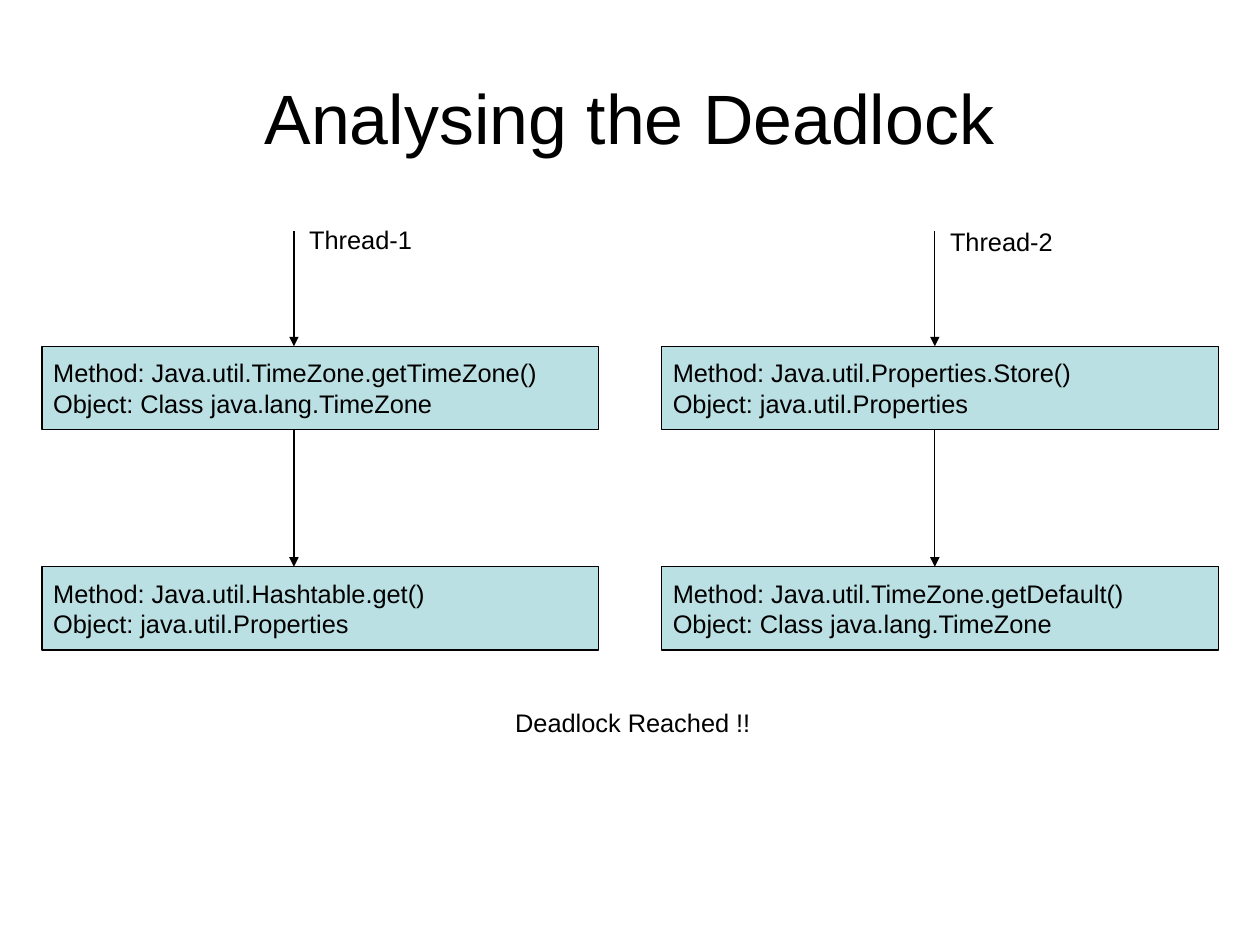
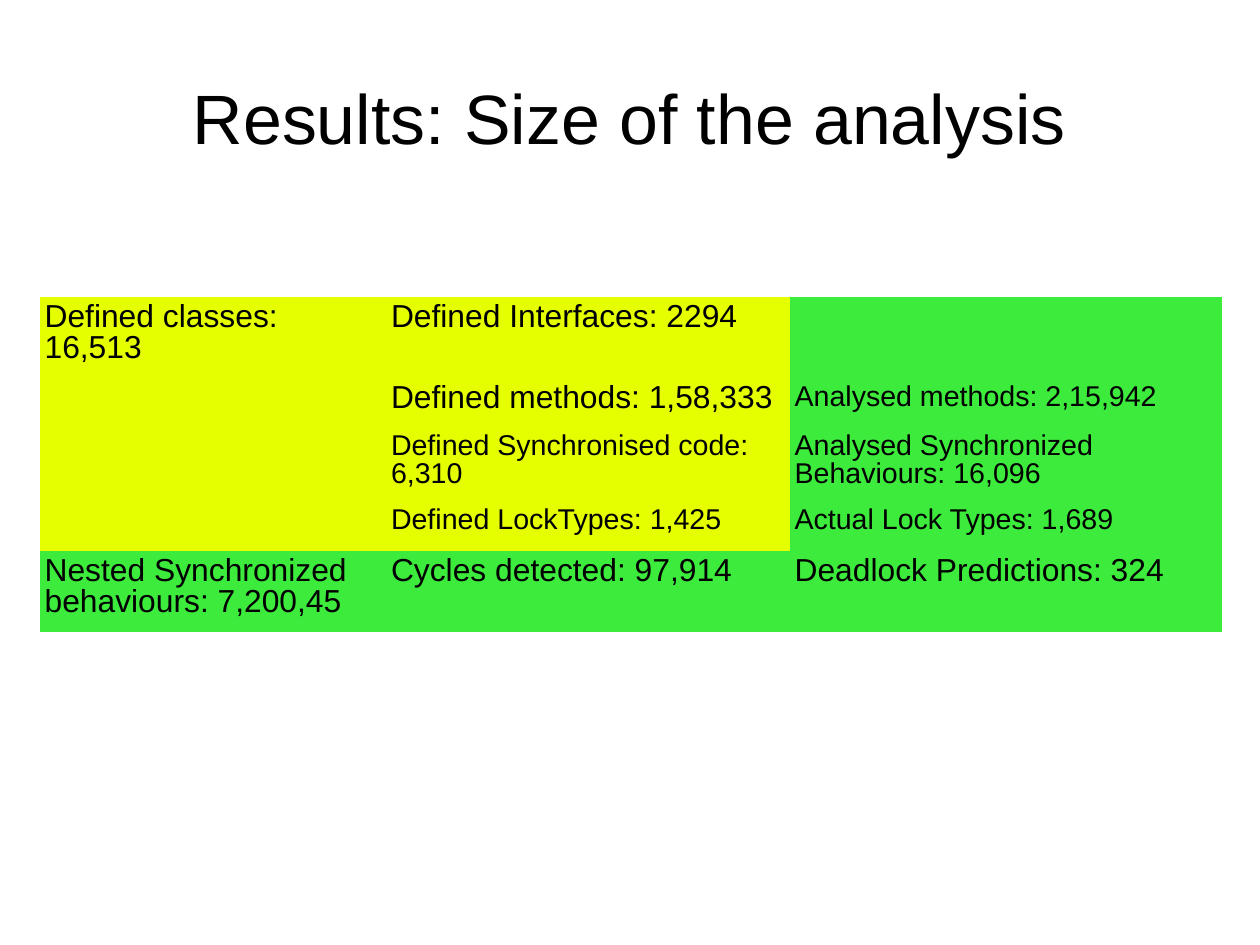
from dataclasses import dataclass

from lxml.etree import SubElement
from pptx import Presentation
from pptx.dml.color import RGBColor
from pptx.enum.shapes import MSO_CONNECTOR as Connector, MSO_SHAPE as Shape
from pptx.enum.text import MSO_ANCHOR as Anchor, PP_ALIGN as Align
from pptx.oxml.ns import qn
from pptx.util import Cm, Inches, Pt


@dataclass(frozen=True)
class Theme:
    font: str = "Arial"
    ink: str = "000000"
    step: str = "BBE0E3"
    defined: str = "E6FF00"
    analysed: str = "3DEB3D"
    title_size: int = 44
    body_size: int = 16
    cell_size: int = 20
    small_cell_size: int = 18
    line_width: float = 0.75
    cell_spacing: float = 0.87


THEME = Theme()
WIDTH, HEIGHT = Cm(28), Cm(21)


def across(percent):
    return round(WIDTH * percent / 100)


def down(percent):
    return round(HEIGHT * percent / 100)


@dataclass(frozen=True)
class Box:
    left: float
    top: float
    width: float
    height: float

    def emu(self):
        return (across(self.left), down(self.top),
                across(self.width), down(self.height))


@dataclass(frozen=True)
class Lane:
    left: float
    arrow: float
    label_rise: float
    label: str
    steps: tuple


TITLE = Box(5, 4, 90, 16.69)
LANE_TOP, LANE_WIDTH = 24.43, 44.19
ARROW_ROWS = (12.21, 14.5)
STEP_ROW = 8.83
LABEL_ROW = 4.47
OUTCOME = Box(40, 74.2, 22, LABEL_ROW)
TABLE = Box(3.18, 31.46, 93.83, 35.43)
COLUMNS = (3.03, 3.53, 3.78)
ROWS = (0.71, 0.43, 0.65, 0.43, 0.71)

LANES = (
    Lane(3.33, 20, 1.33, "Thread-1", (
        ("Method: Java.util.TimeZone.getTimeZone()",
         "Object: Class java.lang.TimeZone"),
        ("Method: Java.util.Hashtable.get()",
         "Object: java.util.Properties"))),
    Lane(52.5, 21.69, 1.09, "Thread-2", (
        ("Method: Java.util.Properties.Store()",
         "Object: java.util.Properties"),
        ("Method: Java.util.TimeZone.getDefault()",
         "Object: Class java.lang.TimeZone"))),
)

RESULTS = (
    (("Defined classes: 16,513",), ("Defined Interfaces: 2294",), ()),
    ((), ("Defined methods: 1,58,333",), ("Analysed methods: 2,15,942",)),
    ((), ("Defined Synchronised code: 6,310",),
     ("Analysed Synchronized", "Behaviours: 16,096")),
    ((), ("Defined LockTypes: 1,425",), ("Actual Lock Types: 1,689",)),
    (("Nested Synchronized behaviours: 7,200,45",),
     ("Cycles detected: 97,914",), ("Deadlock Predictions: 324",)),
)
SMALL_CELLS = {(1, 2), (2, 1), (2, 2), (3, 1), (3, 2)}


def color(code):
    return RGBColor.from_string(code)


def write(frame, lines, size, align=Align.LEFT, spacing=None):
    frame.word_wrap = True
    for index, line in enumerate(lines):
        para = frame.paragraphs[0] if index == 0 else frame.add_paragraph()
        para.alignment = align
        para.line_spacing = spacing
        span = para.add_run()
        span.text = line
        span.font.name = THEME.font
        span.font.size = Pt(size)
        span.font.color.rgb = color(THEME.ink)


def add_text(page, box, line, size=THEME.body_size, align=Align.LEFT,
             anchor=Anchor.TOP):
    frame = page.shapes.add_textbox(*box.emu()).text_frame
    frame.vertical_anchor = anchor
    write(frame, [line], size, align)


def add_step(page, box, lines):
    step = page.shapes.add_shape(Shape.RECTANGLE, *box.emu())
    step.shadow.inherit = False
    step.fill.solid()
    step.fill.fore_color.rgb = color(THEME.step)
    step.line.color.rgb = color(THEME.ink)
    step.line.width = Pt(THEME.line_width)
    step.text_frame.vertical_anchor = Anchor.MIDDLE
    write(step.text_frame, lines, THEME.body_size)


def add_arrow(page, x, top, bottom):
    arrow = page.shapes.add_connector(
        Connector.STRAIGHT, across(x), down(top), across(x), down(bottom))
    arrow.line.color.rgb = color(THEME.ink)
    arrow.line.width = Pt(THEME.line_width)
    properties = arrow._element.spPr
    SubElement(properties.find(qn("a:ln")), qn("a:tailEnd"), type="triangle")
    SubElement(properties, qn("a:effectLst"))


def add_lane(page, lane):
    x = lane.left + lane.arrow
    label_box = Box(x + 0.32, LANE_TOP - lane.label_rise, 12, LABEL_ROW)
    add_text(page, label_box, lane.label)
    top = LANE_TOP
    for gap, lines in zip(ARROW_ROWS, lane.steps):
        add_arrow(page, x, top, top + gap)
        add_step(page, Box(lane.left, top + gap, LANE_WIDTH, STEP_ROW), lines)
        top += gap + STEP_ROW


def add_results(page, box):
    table = page.shapes.add_table(len(ROWS), len(COLUMNS), *box.emu()).table
    table.first_row = table.horz_banding = False
    style = table._tbl.tblPr.find(qn("a:tableStyleId"))
    style.text = "{2D5ABB26-0587-4C30-8999-92F81FD0307C}"
    for column, share in zip(table.columns, COLUMNS):
        column.width = across(box.width * share / sum(COLUMNS))
    for row, share in zip(table.rows, ROWS):
        row.height = down(box.height * share / sum(ROWS))
    for r, texts in enumerate(RESULTS):
        for c, lines in enumerate(texts):
            cell = table.cell(r, c)
            is_defined = r < len(ROWS) - 1 and c < len(COLUMNS) - 1
            cell.fill.solid()
            cell.fill.fore_color.rgb = color(
                THEME.defined if is_defined else THEME.analysed)
            cell.margin_left = cell.margin_right = Inches(0.04)
            small = (r, c) in SMALL_CELLS
            write(cell.text_frame, lines,
                  THEME.small_cell_size if small else THEME.cell_size,
                  spacing=THEME.cell_spacing)


def add_page(deck, title):
    page = deck.slides.add_slide(deck.slide_layouts[6])
    add_text(page, TITLE, title, THEME.title_size, Align.CENTER, Anchor.MIDDLE)
    return page


def build_deadlock(deck):
    page = add_page(deck, "Analysing the Deadlock")
    for lane in LANES:
        add_lane(page, lane)
    add_text(page, OUTCOME, "Deadlock Reached !!")


def build_results(deck):
    add_results(add_page(deck, "Results: Size of the analysis"), TABLE)


def main():
    deck = Presentation()
    deck.slide_width, deck.slide_height = WIDTH, HEIGHT
    build_deadlock(deck)
    build_results(deck)
    deck.save("out.pptx")


if __name__ == "__main__":
    main()
